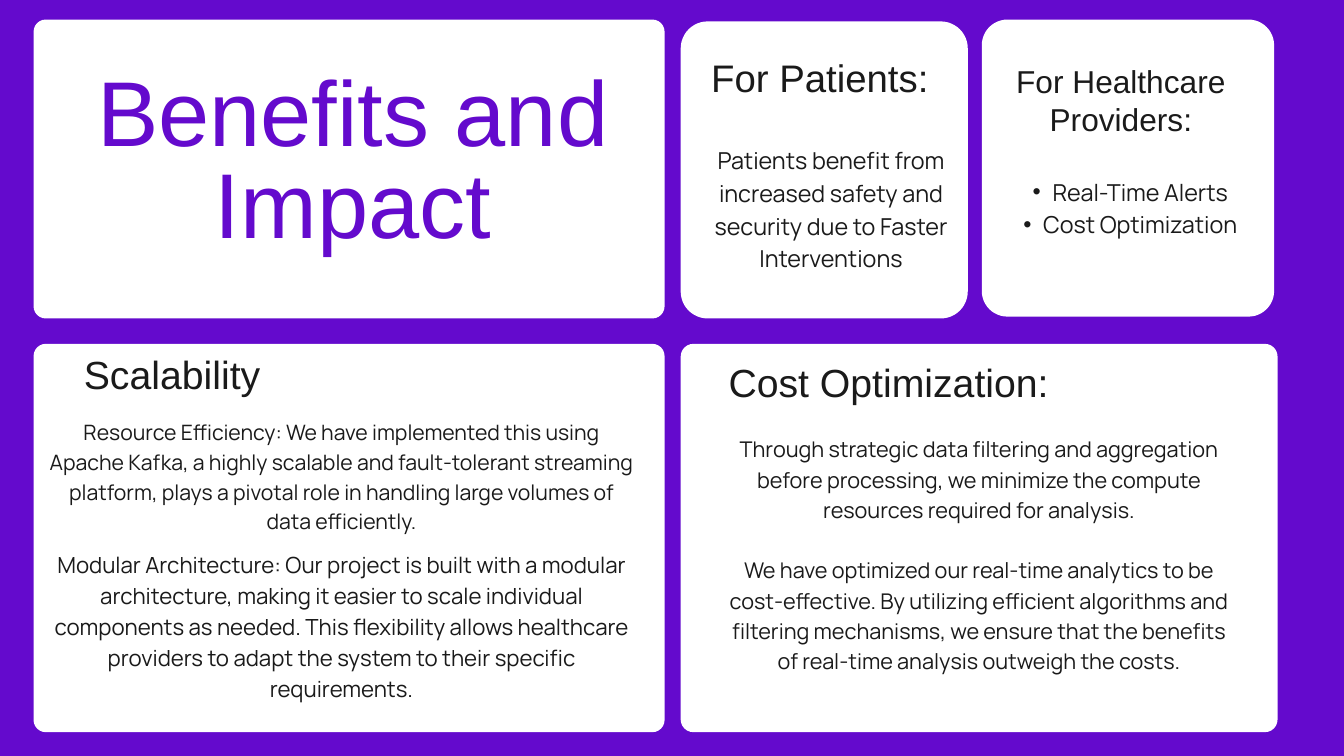
from dataclasses import dataclass

import pptx
import pptx.dml.color
import pptx.enum.shapes
import pptx.enum.text
import pptx.oxml
import pptx.oxml.ns
import pptx.presentation
import pptx.slide
import pptx.util

Cm = pptx.util.Cm
Pt = pptx.util.Pt
RGBColor = pptx.dml.color.RGBColor

PURPLE = RGBColor(0x64, 0x0A, 0xCD)
WHITE = RGBColor(0xFF, 0xFF, 0xFF)
INK = RGBColor(0x1A, 0x1A, 0x1A)
HEADING_FONT = "Arial"
BODY_FONT = "Manrope"


@dataclass(frozen=True)
class Box:
    """A rectangle in centimetres."""
    left: float
    top: float
    width: float
    height: float


@dataclass(frozen=True)
class Card:
    box: Box
    radius: float


@dataclass(frozen=True)
class Line:
    """A paragraph, with its size and spacing in points."""
    text: str
    size: float
    spacing: float
    font: str = BODY_FONT
    color: RGBColor = INK
    space_before: float = 0
    bullet: bool = False


@dataclass(frozen=True)
class TextBlock:
    box: Box
    lines: tuple[Line, ...]


def heading(text: str, size: float) -> tuple[Line, ...]:
    return (Line(text, size, round(size * 1.2, 1), HEADING_FONT),)


LEFT, MIDDLE, RIGHT = 1.27, 25.73, 37.11
UPPER, LOWER = 0.74, 13.0
LEFT_WIDTH, LOWER_HEIGHT = 23.85, 14.68

CARDS = (
    Card(Box(LEFT, UPPER, LEFT_WIDTH, 11.3), 0.46),
    Card(Box(MIDDLE, LOWER, 22.56, LOWER_HEIGHT), 0.48),
    Card(Box(LEFT, LOWER, LEFT_WIDTH, LOWER_HEIGHT), 0.46),
    Card(Box(MIDDLE, 0.81, 10.85, 11.23), 1.02),
    Card(Box(RIGHT, UPPER, 11.05, 11.23), 0.97),
)

TITLE = TextBlock(
    Box(2.41, 2.77, 21.87, 7.42),
    (Line("Benefits and Impact", 98.6, 98.6, HEADING_FONT, PURPLE),),
)
PROVIDER_LIST = TextBlock(
    Box(37.36, 6.55, 9.98, 3.66),
    tuple(Line(text, 25, 35, bullet=True)
          for text in ("Real-Time Alerts", "Cost Optimization")),
)
TEXT_BLOCKS = (
    TextBlock(Box(37.72, 2.34, 9.3, 2.95), heading("For Healthcare Providers:", 33.9)),
    TextBlock(Box(24.56, 13.56, 18.06, 1.9), heading("Cost Optimization:", 42)),
    TextBlock(Box(-0.2, 13.26, 13.41, 1.9), heading("Scalability", 42)),
    TextBlock(Box(24.43, 2.03, 13.13, 1.83), heading("For Patients:", 41.1)),
    TextBlock(Box(26.52, 5.36, 9.78, 4.88), (
        Line("Patients benefit from increased safety and security due to "
             "Faster Interventions", 25, 35),
    )),
    TextBlock(Box(1.83, 15.7, 22.15, 10.67), (
        Line("Resource Efficiency: We have implemented this using Apache Kafka, "
             "a highly scalable and fault-tolerant streaming platform, plays a "
             "pivotal role in handling large volumes of data efficiently.",
             22.7, 31.8),
        Line("Modular Architecture: Our project is built with a modular "
             "architecture, making it easier to scale individual components as "
             "needed. This flexibility allows healthcare providers to adapt the "
             "system to their specific requirements.",
             23.8, 33.3, space_before=13.8),
    )),
    TextBlock(Box(27.48, 16.33, 19.05, 10.03), (
        Line("Through strategic data filtering and aggregation before "
             "processing, we minimize the compute resources required for "
             "analysis.", 23.2, 32.4),
        Line("We have optimized our real-time analytics to be cost-effective. "
             "By utilizing efficient algorithms and filtering mechanisms, we "
             "ensure that the benefits of real-time analysis outweigh the costs.",
             23.2, 32.4, space_before=32.4),
    )),
)


def place(shape, box: Box) -> None:
    shape.left, shape.top = Cm(box.left), Cm(box.top)
    shape.width, shape.height = Cm(box.width), Cm(box.height)


def add_card(slide: pptx.slide.Slide, card: Card) -> None:
    box = card.box
    shape = slide.shapes.add_shape(
        pptx.enum.shapes.MSO_SHAPE.ROUNDED_RECTANGLE,
        Cm(box.left), Cm(box.top), Cm(box.width), Cm(box.height))
    shape.adjustments[0] = card.radius / min(box.width, box.height)
    shape.shadow.inherit = False
    shape.fill.solid()
    shape.fill.fore_color.rgb = WHITE
    shape.line.fill.background()


def add_bullet(paragraph) -> None:
    properties = paragraph._p.get_or_add_pPr()
    properties.set("marL", str(Cm(1.5)))
    properties.set("indent", str(-Cm(0.75)))
    bullet = pptx.oxml.parse_xml(
        f'<a:buChar {pptx.oxml.ns.nsdecls("a")} char="•"/>')
    properties.append(bullet)


def write_block(shape, block: TextBlock) -> None:
    place(shape, block.box)
    frame = shape.text_frame
    frame.word_wrap = True
    frame.auto_size = pptx.enum.text.MSO_AUTO_SIZE.NONE
    frame.vertical_anchor = pptx.enum.text.MSO_ANCHOR.TOP
    frame.margin_left = frame.margin_right = 0
    frame.margin_top = frame.margin_bottom = 0
    frame.text = "\n".join(line.text for line in block.lines)
    for paragraph, line in zip(frame.paragraphs, block.lines):
        if line.bullet:
            add_bullet(paragraph)
        paragraph.alignment = pptx.enum.text.PP_ALIGN.CENTER
        paragraph.line_spacing = Pt(line.spacing)
        paragraph.space_before = Pt(line.space_before)
        for run in paragraph.runs:
            run.font.name = line.font
            run.font.size = Pt(line.size)
            run.font.color.rgb = line.color


def bring_to_front(shape) -> None:
    shape.element.getparent().append(shape.element)


def build() -> pptx.presentation.Presentation:
    presentation = pptx.Presentation()
    presentation.slide_width, presentation.slide_height = Cm(50.8), Cm(28.58)
    slide = presentation.slides.add_slide(presentation.slide_layouts[1])
    slide.background.fill.solid()
    slide.background.fill.fore_color.rgb = PURPLE

    for card in CARDS:
        add_card(slide, card)
    for shape, block in ((slide.shapes.title, TITLE),
                         (slide.placeholders[1], PROVIDER_LIST)):
        write_block(shape, block)
        bring_to_front(shape)
    for block in TEXT_BLOCKS:
        write_block(slide.shapes.add_textbox(0, 0, 0, 0), block)
    return presentation


if __name__ == "__main__":
    build().save("out.pptx")
